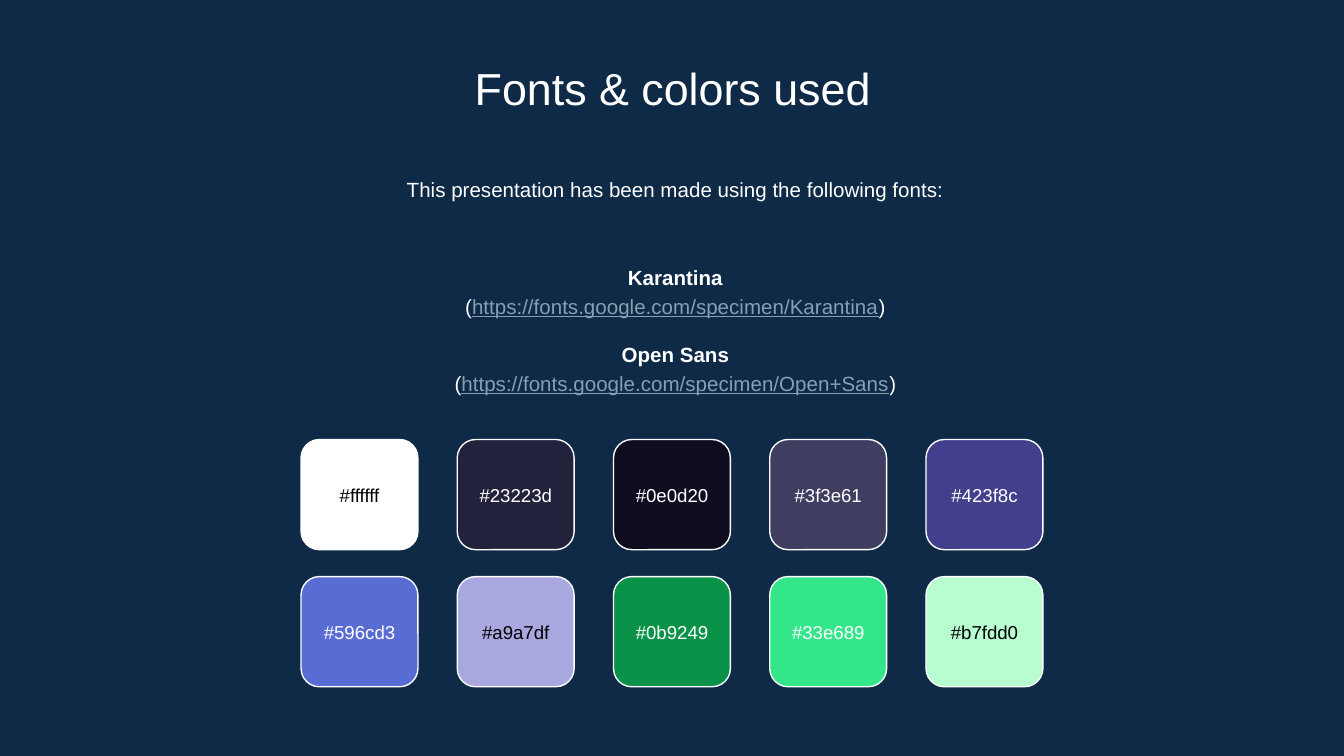
from dataclasses import dataclass
from itertools import product

from pptx import Presentation
from pptx.dml.color import RGBColor
from pptx.enum.shapes import MSO_SHAPE as Shape
from pptx.enum.text import MSO_ANCHOR as Anchor, PP_ALIGN as Align
from pptx.slide import Slide
from pptx.util import Inches, Pt

WIDTH = 10
HEIGHT = WIDTH * 9 / 16
NAVY = RGBColor(0x0E, 0x2A, 0x47)
WHITE = RGBColor(0xFF, 0xFF, 0xFF)
BLACK = RGBColor(0x00, 0x00, 0x00)
LINK = RGBColor(0x86, 0x9F, 0xB2)

GRID_LEFT, GRID_RIGHT, GRID_TOP = 2.24, 7.76, 3.27
COLUMNS, ROWS = 5, 2
SWATCH_WIDTH, SWATCH_HEIGHT = 0.87, 0.82
COLUMN_STEP = (GRID_RIGHT - GRID_LEFT - SWATCH_WIDTH) / (COLUMNS - 1)
ROW_STEP = 1.02
LABEL_HEIGHT = 0.48


@dataclass(frozen=True)
class Box:
    left: float
    top: float
    width: float
    height: float

    def emu(self) -> list[int]:
        return [Inches(v) for v in (self.left, self.top, self.width, self.height)]


@dataclass(frozen=True)
class Run:
    text: str
    color: RGBColor = WHITE
    bold: bool = False
    underline: bool = False


@dataclass(frozen=True)
class Line:
    runs: tuple[Run, ...]
    gap: float = 0


@dataclass(frozen=True)
class Swatch:
    code: str
    ink: RGBColor = WHITE


SWATCHES = (
    Swatch("#ffffff", BLACK), Swatch("#23223d"), Swatch("#0e0d20"),
    Swatch("#3f3e61"), Swatch("#423f8c"),
    Swatch("#596cd3"), Swatch("#a9a7df", BLACK), Swatch("#0b9249"),
    Swatch("#33e689"), Swatch("#b7fdd0", BLACK),
)


def apply_format(target: object, values: dict) -> None:
    for attribute, value in values.items():
        setattr(target, attribute, value)


def add_text(slide: Slide, box: Box, lines: list[Line], size: float,
             anchor: Anchor = Anchor.TOP, spacing: float = 1.0) -> None:
    frame = slide.shapes.add_textbox(*box.emu()).text_frame
    inset = Inches(0.1)
    apply_format(frame, {
        "word_wrap": True, "vertical_anchor": anchor,
        "margin_left": inset, "margin_right": inset,
        "margin_top": inset, "margin_bottom": inset,
    })
    for index, line in enumerate(lines):
        paragraph = frame.add_paragraph() if index else frame.paragraphs[0]
        apply_format(paragraph, {"alignment": Align.CENTER, "line_spacing": spacing})
        if line.gap:
            paragraph.space_before = Pt(line.gap)
        for part in line.runs:
            run = paragraph.add_run()
            run.text = part.text
            apply_format(run.font, {
                "name": "Arial", "size": Pt(size),
                "bold": part.bold, "underline": part.underline,
            })
            run.font.color.rgb = part.color


def font_entry(name: str, address: str, gap: float = 0) -> list[Line]:
    return [
        Line((Run(name, bold=True),), gap),
        Line((Run("("), Run(address, LINK, underline=True), Run(")"))),
    ]


def add_swatch(slide: Slide, swatch: Swatch, row: int, column: int) -> None:
    left = GRID_LEFT + column * COLUMN_STEP
    top = GRID_TOP + row * ROW_STEP
    tile_box = Box(left, top, SWATCH_WIDTH, SWATCH_HEIGHT)
    tile = slide.shapes.add_shape(Shape.ROUNDED_RECTANGLE, *tile_box.emu())
    tile.shadow.inherit = False
    tile.fill.solid()
    tile.fill.fore_color.rgb = RGBColor.from_string(swatch.code[1:].upper())
    tile.line.color.rgb = WHITE
    tile.line.width = Pt(0.75)
    label_top = top + (SWATCH_HEIGHT - LABEL_HEIGHT) / 2
    add_text(slide, Box(left, label_top, SWATCH_WIDTH, LABEL_HEIGHT),
             [Line((Run(swatch.code, swatch.ink),))], 10, Anchor.MIDDLE)


def main() -> None:
    deck = Presentation()
    deck.slide_width, deck.slide_height = Inches(WIDTH), Inches(HEIGHT)
    slide = deck.slides.add_slide(deck.slide_layouts[6])
    slide.background.fill.solid()
    slide.background.fill.fore_color.rgb = NAVY

    intro = "This presentation has been made using the following fonts:"
    add_text(slide, Box(1.17, 1.19, 7.71, 0.48), [Line((Run(intro),))], 11, spacing=1.15)
    fonts = (
        font_entry("Karantina", "https://fonts.google.com/specimen/Karantina")
        + font_entry("Open Sans", "https://fonts.google.com/specimen/Open+Sans", 11)
    )
    add_text(slide, Box(1.17, 1.76, 7.71, 1.37), fonts, 11, Anchor.MIDDLE, 1.15)
    add_text(slide, Box(1.15, 0.35, 7.71, 0.53), [Line((Run("Fonts & colors used"),))], 24)

    for swatch, (row, column) in zip(SWATCHES, product(range(ROWS), range(COLUMNS))):
        add_swatch(slide, swatch, row, column)

    deck.save("out.pptx")


if __name__ == "__main__":
    main()
